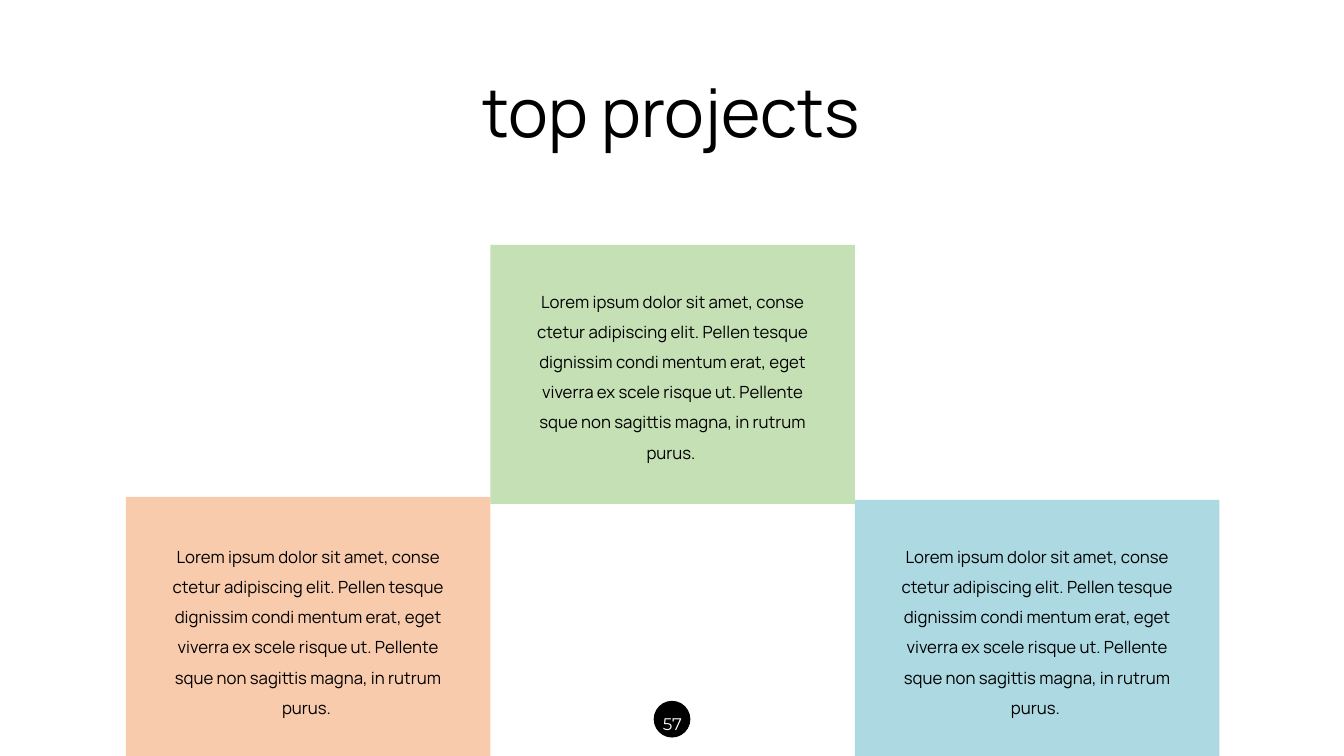
from dataclasses import dataclass

from pptx import Presentation
from pptx.dml.color import RGBColor
from pptx.enum.shapes import MSO_SHAPE
from pptx.enum.text import MSO_ANCHOR, MSO_AUTO_SIZE, PP_ALIGN
from pptx.util import Inches, Pt


@dataclass(frozen=True)
class Theme:
    black: RGBColor = RGBColor(0x00, 0x00, 0x00)
    white: RGBColor = RGBColor(0xFF, 0xFF, 0xFF)
    peach: RGBColor = RGBColor(0xF8, 0xCB, 0xAD)
    green: RGBColor = RGBColor(0xC5, 0xE0, 0xB4)
    blue: RGBColor = RGBColor(0xAC, 0xD9, 0xE2)
    text_font: str = "Manrope"
    number_font: str = "Montserrat"
    title_size: int = 48
    text_size: int = 12


theme = Theme()


def write(holder, text, font, size, color, spacing):
    frame = holder.text_frame
    frame_format = {
        "word_wrap": True,
        "auto_size": MSO_AUTO_SIZE.NONE,
        "vertical_anchor": MSO_ANCHOR.TOP,
    }
    for name, value in frame_format.items():
        setattr(frame, name, value)
    frame.text = text
    paragraph = frame.paragraphs[0]
    paragraph.alignment = PP_ALIGN.CENTER
    paragraph.line_spacing = spacing
    run_font = paragraph.runs[0].font
    for name, value in {"name": font, "size": Pt(size)}.items():
        setattr(run_font, name, value)
    run_font.color.rgb = color


def add_filled(kind, left, top, width, height, color):
    shape = slide.shapes.add_shape(
        kind, Inches(left), Inches(top), Inches(width), Inches(height))
    shape.shadow.inherit = False
    shape.fill.solid()
    shape.fill.fore_color.rgb = color
    return shape


prs = Presentation()
prs.slide_width, prs.slide_height = Inches(13.33), Inches(7.5)
slide = prs.slides.add_slide(prs.slide_layouts[5])

# Title
title = slide.shapes.title
title_place = {"left": 3.76, "top": 0.65, "width": 5.8, "height": 0.91}
for name, value in title_place.items():
    setattr(title, name, Inches(value))
write(title, "top projects", theme.text_font, theme.title_size, theme.black, 1.0)

# Project cards side by side, the middle one raised
project_text = (
    "Lorem ipsum dolor sit amet, conse ctetur adipiscing elit. "
    "Pellen tesque dignissim condi mentum erat, eget viverra ex scele "
    "risque ut. Pellente sque non sagittis magna, in rutrum purus. "
)
cards_left, card_width = 1.25, 3.615
text_width, text_height = 2.93, 1.92
cards = [  # top, height, text top, colour
    (4.93, 2.57, 5.27, theme.peach),
    (2.43, 2.57, 2.74, theme.green),
    (4.96, 2.54, 5.27, theme.blue),
]
for column, (top, height, text_top, color) in enumerate(cards):
    left = cards_left + column * card_width
    card = add_filled(MSO_SHAPE.RECTANGLE, left, top, card_width, height, color)
    card.line.fill.background()
    text_left = left + (card_width - text_width) / 2
    project = slide.shapes.add_textbox(
        Inches(text_left), Inches(text_top), Inches(text_width), Inches(text_height))
    write(project, project_text, theme.text_font, theme.text_size, theme.black, 1.5)

# Page number badge
badge = add_filled(MSO_SHAPE.OVAL, 6.49, 6.96, 0.35, 0.35, theme.black)
badge.line.color.rgb = theme.black
badge.line.width = Pt(1)
page_number = slide.shapes.add_textbox(
    Inches(6.42), Inches(6.93), Inches(0.5), Inches(0.37))
write(page_number, "57", theme.number_font, theme.text_size, theme.white, 1.5)

prs.save("out.pptx")
